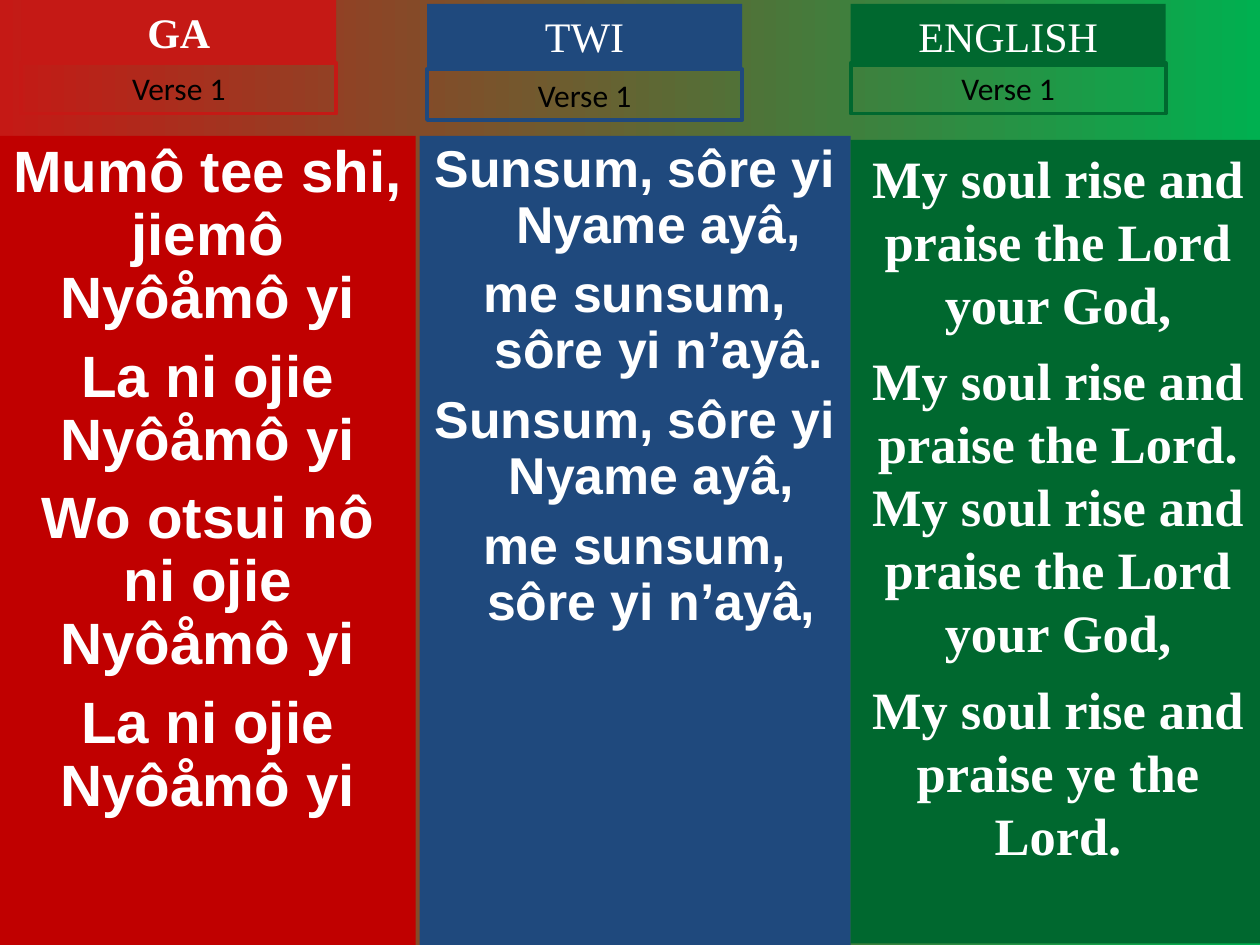
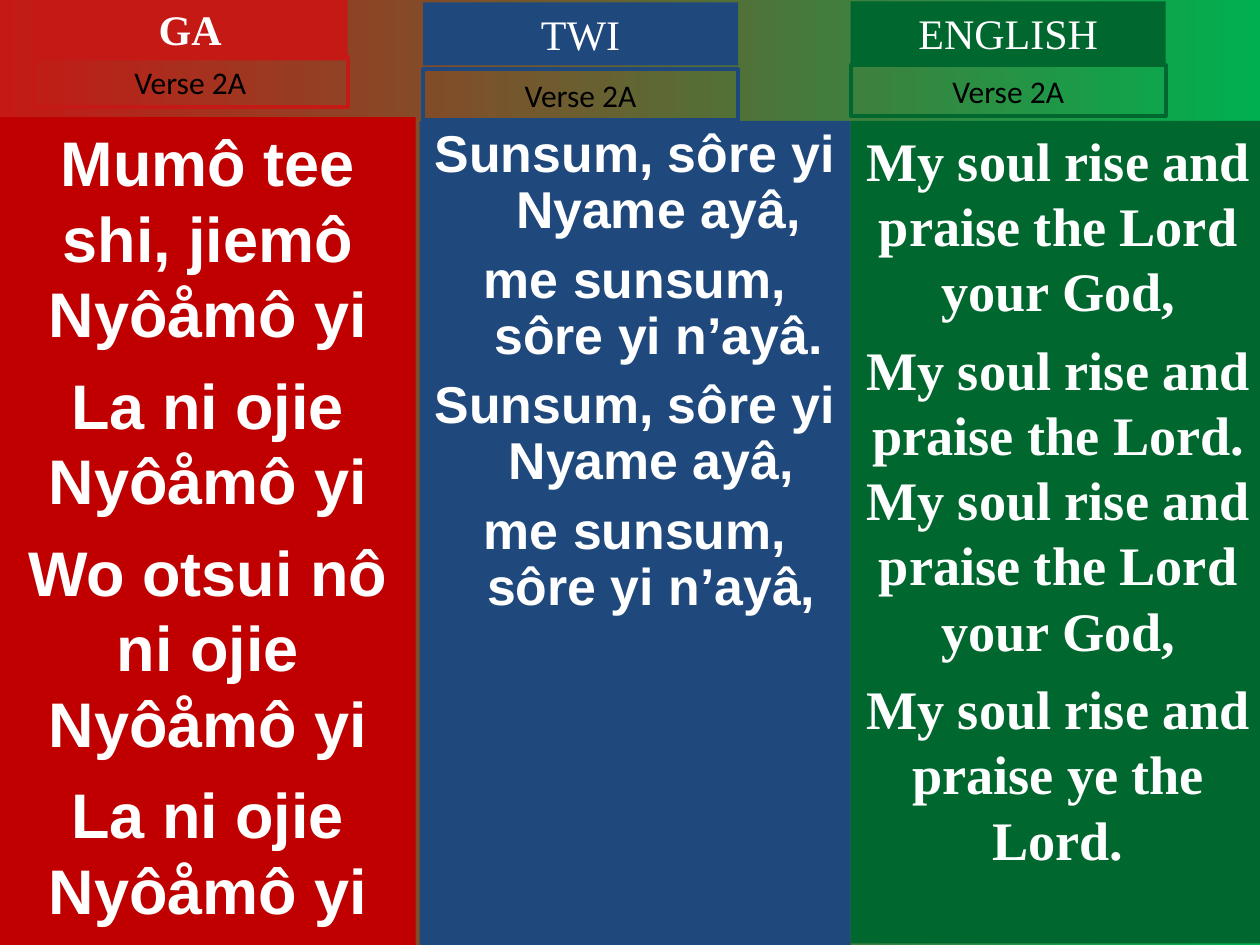
"""Build two hymn slides with the lyrics side by side in Ga, Twi and English."""
from dataclasses import dataclass

from pptx import Presentation
from pptx.dml.color import RGBColor as Rgb
from pptx.enum.shapes import MSO_SHAPE as Shape
from pptx.enum.text import MSO_ANCHOR as Anchor, MSO_AUTO_SIZE as AutoSize, PP_ALIGN as Align
from pptx.util import Cm, Pt


@dataclass(frozen=True)
class Theme:
    white: str = "FFFFFF"
    black: str = "000000"
    gradient: tuple = ("C51915", "00B050")
    heading_font: str = "Times New Roman"
    label_font: str = "Calibri"
    heading_size: float = 24
    label_size: float = 18
    outline: float = 2.25
    slide_width: float = 25.4
    slide_height: float = 19.05
    tab_width: float = 6.35
    heading_height: float = 1.27
    label_height: float = 1.02


@dataclass(frozen=True)
class Language:
    name: str
    column_color: str
    tab_color: str
    left: float
    width: float
    bottom: float
    font: str
    lines: tuple
    bold_heading: bool = False
    hanging: float = 0


@dataclass(frozen=True)
class Layout:
    column_top: float
    tab_left: float
    heading_top: float
    label_top: float
    size: float
    space_before: float
    line_spacing: float = 1.0


THEME = Theme()

GA = Language(
    "GA", "C00000", "C51915", 0, 8.38, 19.05, "Arial",
    ("Mumô tee shi, jiemô Nyôåmô yi", "La ni ojie Nyôåmô yi",
     "Wo otsui nô ni ojie Nyôåmô yi", "La ni ojie Nyôåmô yi"),
    bold_heading=True)
TWI = Language(
    "TWI", "1F497D", "1F497D", 8.46, 8.69, 19.05, "Arial",
    ("Sunsum, sôre yi Nyame ayâ,", "me sunsum, sôre yi n’ayâ.",
     "Sunsum, sôre yi Nyame ayâ, ", "me sunsum, sôre yi n’ayâ, "),
    hanging=0.95)
ENGLISH = Language(
    "ENGLISH", "00682F", "00682F", 17.15, 8.36, 19.02, "Times New Roman",
    ("My soul rise and praise the Lord your God,",
     "My soul rise and praise the Lord. My soul rise and praise the Lord your God,",
     "My soul rise and praise ye the Lord."))

VERSES = {
    "Verse 1": (
        (GA, Layout(2.74, 0.43, 0, 1.27, 33.3, 9, 0.9)),
        (TWI, Layout(2.74, 8.61, 0.08, 1.4, 29.6, 8, 0.9)),
        (ENGLISH, Layout(2.82, 17.15, 0.08, 1.27, 30, 7.5)),
    ),
    "Verse 2A": (
        (GA, Layout(2.36, 0.66, -0.05, 1.14, 36, 9)),
        (TWI, Layout(2.44, 8.53, 0.05, 1.4, 29.6, 8, 0.9)),
        (ENGLISH, Layout(2.44, 17.15, 0.03, 1.32, 31, 7.7)),
    ),
}


def paint_background(page):
    """Fill the page with the left-to-right gradient."""
    fill = page.background.fill
    fill.gradient()
    fill.gradient_angle = 0
    for stop, color in zip(fill.gradient_stops, THEME.gradient):
        stop.color.rgb = Rgb.from_string(color)


def add_box(page, left, top, width, height, fill=None, line=None):
    """Add a rectangle with top-anchored wrapped text."""
    box = page.shapes.add_shape(Shape.RECTANGLE, Cm(left), Cm(top), Cm(width), Cm(height))
    box.shadow.inherit = False
    if fill:
        box.fill.solid()
        box.fill.fore_color.rgb = Rgb.from_string(fill)
    else:
        box.fill.background()
    if line:
        box.line.color.rgb = Rgb.from_string(line)
        box.line.width = Pt(THEME.outline)
    else:
        box.line.fill.background()
    frame = box.text_frame
    frame.word_wrap = True
    frame.vertical_anchor = Anchor.TOP
    frame.margin_left = frame.margin_right = Cm(0.25)
    frame.margin_top = frame.margin_bottom = Cm(0.13)
    return box


def add_span(para, text, font, size, color, bold=False):
    """Add one run of text to a centred paragraph."""
    para.alignment = Align.CENTER
    span = para.add_run()
    span.text = text
    span.font.name = font
    span.font.size = Pt(size)
    span.font.bold = bold
    span.font.color.rgb = Rgb.from_string(color)


def add_column(page, language, layout):
    """Add the coloured column with the lyrics of one language."""
    box = add_box(page, language.left, layout.column_top, language.width,
                  language.bottom - layout.column_top, fill=language.column_color)
    frame = box.text_frame
    for index, line in enumerate(language.lines):
        para = frame.add_paragraph() if index else frame.paragraphs[0]
        para.line_spacing = layout.line_spacing
        para.space_before = Pt(layout.space_before if index else 0)
        if language.hanging:
            properties = para._p.get_or_add_pPr()
            properties.set("marL", str(Cm(language.hanging)))
            properties.set("indent", str(-Cm(language.hanging)))
        add_span(para, line, language.font, layout.size, THEME.white, bold=True)


def add_heading(page, language, layout):
    """Add the filled tab that names the language."""
    box = add_box(page, layout.tab_left, layout.heading_top, THEME.tab_width,
                  THEME.heading_height, fill=language.tab_color)
    box.text_frame.auto_size = AutoSize.SHAPE_TO_FIT_TEXT
    add_span(box.text_frame.paragraphs[0], language.name, THEME.heading_font,
             THEME.heading_size, THEME.white, language.bold_heading)


def add_verse_label(page, verse, language, layout):
    """Add the outlined tab that names the verse."""
    box = add_box(page, layout.tab_left, layout.label_top, THEME.tab_width,
                  THEME.label_height, line=language.tab_color)
    box.text_frame.auto_size = AutoSize.SHAPE_TO_FIT_TEXT
    add_span(box.text_frame.paragraphs[0], verse, THEME.label_font,
             THEME.label_size, THEME.black)


def main():
    """Build and save the deck."""
    deck = Presentation()
    deck.slide_width = Cm(THEME.slide_width)
    deck.slide_height = Cm(THEME.slide_height)
    for verse, columns in VERSES.items():
        page = deck.slides.add_slide(deck.slide_layouts[6])
        paint_background(page)
        for language, layout in columns:
            add_column(page, language, layout)
            add_heading(page, language, layout)
            add_verse_label(page, verse, language, layout)
    deck.save("out.pptx")


if __name__ == "__main__":
    main()
